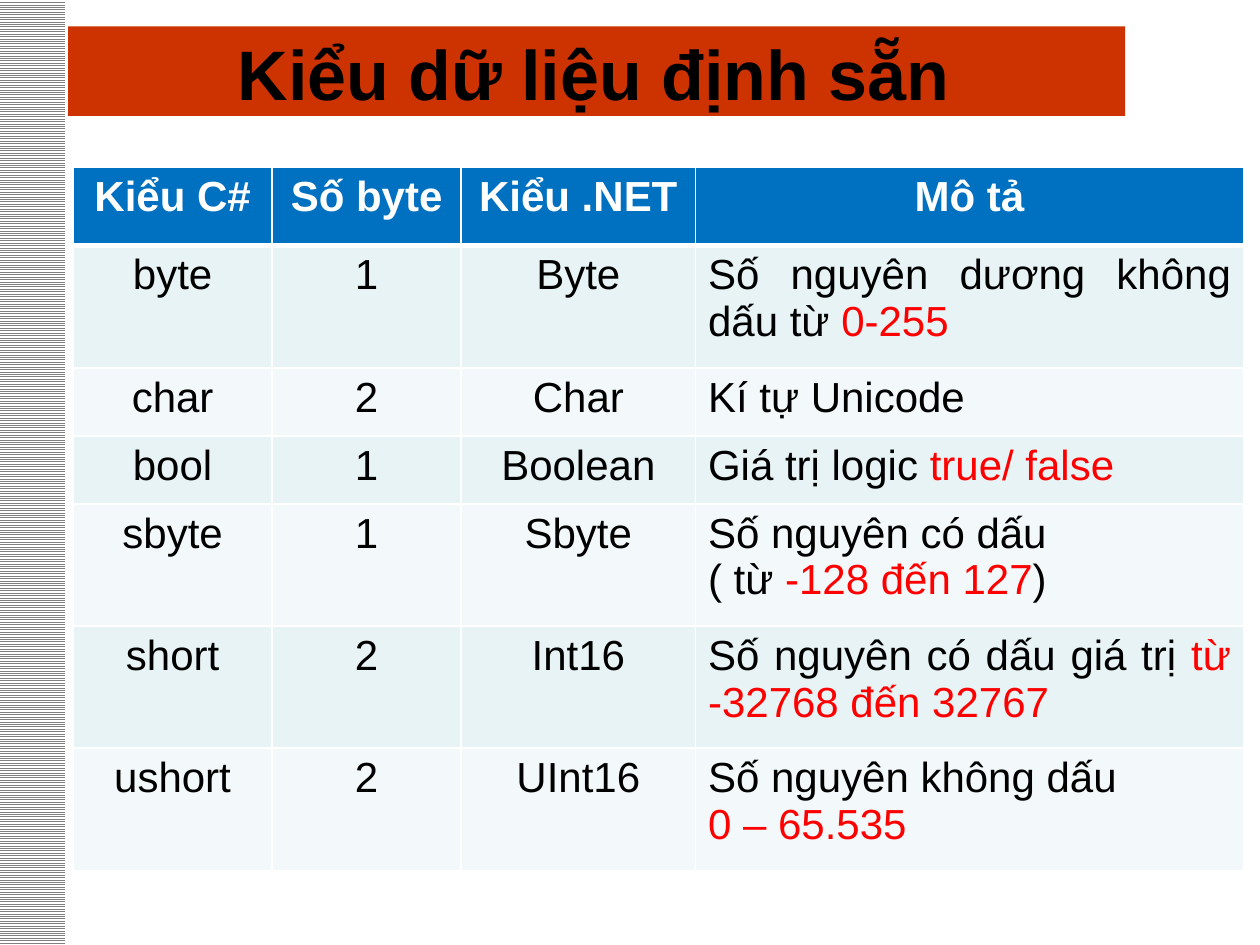
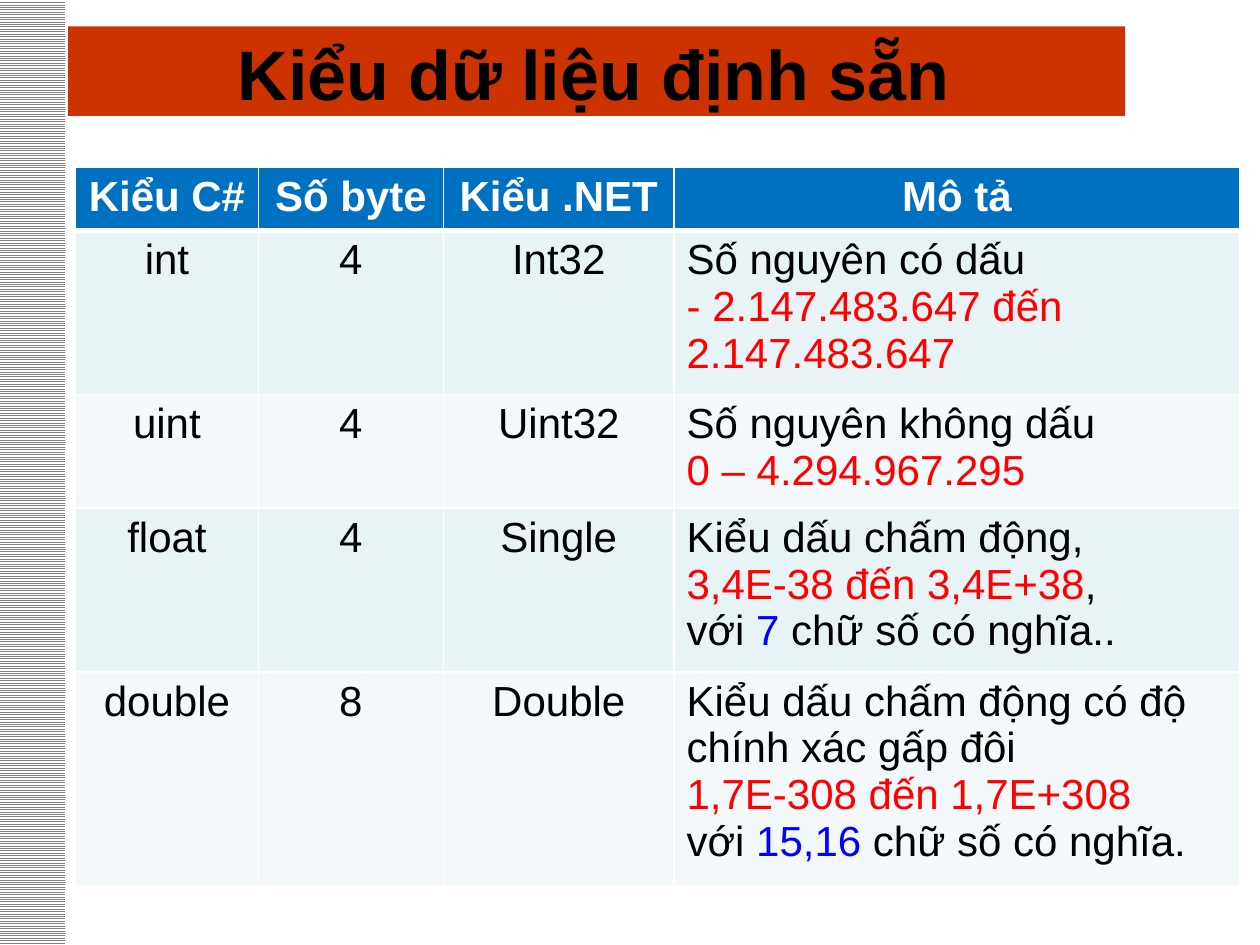
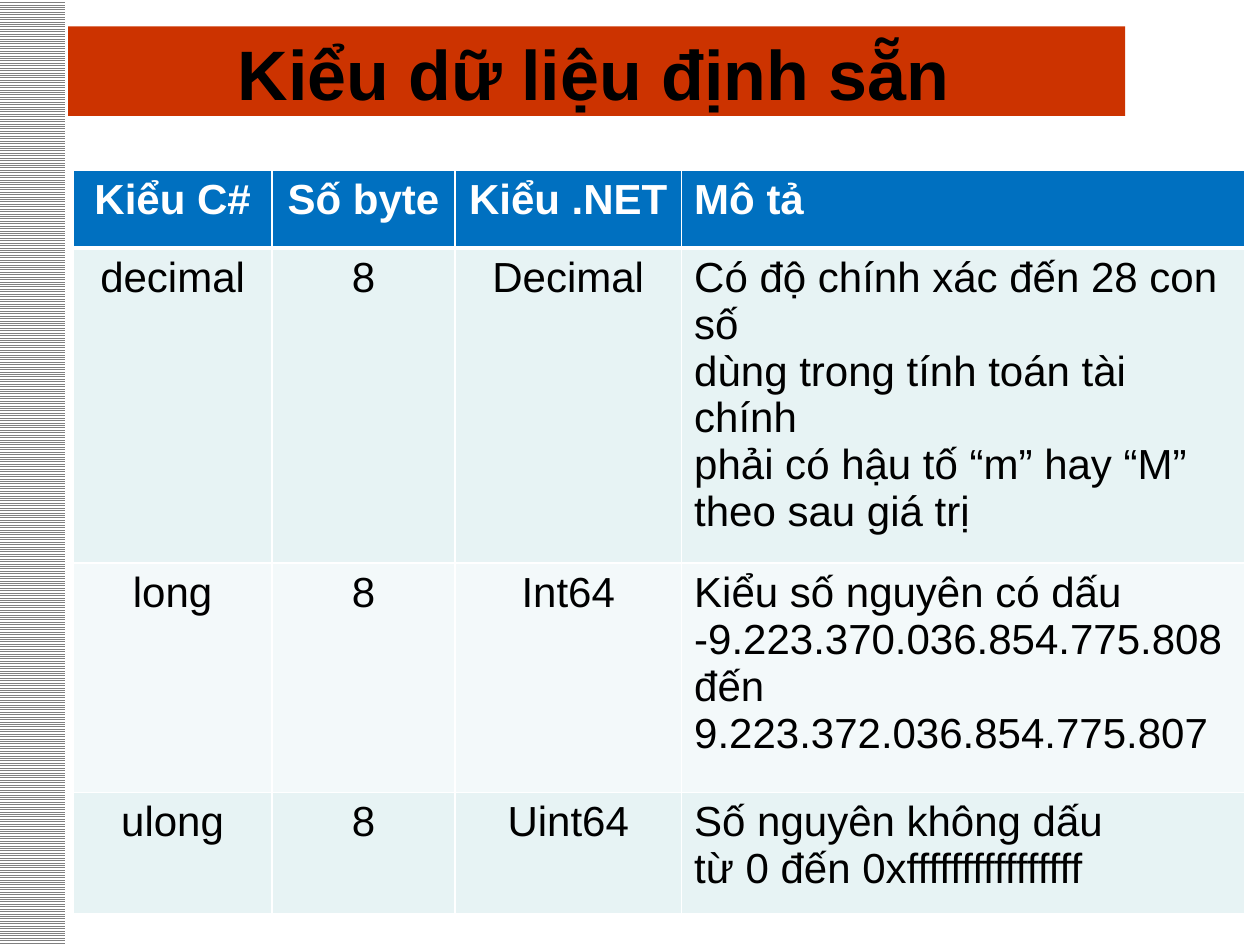
from lxml import etree
from pptx import Presentation
from pptx.dml.color import RGBColor
from pptx.enum.dml import MSO_PATTERN as Pattern
from pptx.enum.shapes import MSO_SHAPE as Shape
from pptx.enum.text import MSO_ANCHOR as Anchor, PP_ALIGN as Align
from pptx.oxml.ns import qn
from pptx.util import Inches, Pt

FONT = "Arial"
WHITE, BLACK, RED, BLUE = "FFFFFF", "000000", "FF0000", "0000FF"
BAND, STRIPE = "CC3300", "808080"
HEADER_FILL, ROW_FILLS = "0070C0", ("E7F3F4", "F3F9FA")
TITLE = "Kiểu dữ liệu định sẵn"
HEADINGS = ("Kiểu C#", "Số byte", "Kiểu .NET", ["Mô tả"])

SLIDES = [
    dict(
        corner=(0.58, 1.33),
        widths=(1.58, 1.5, 1.86, 4.35),
        heights=(0.62, 0.97, 0.54, 0.54, 0.97, 0.97, 0.97),
        body_align=Align.JUSTIFY,
        types=[
            ("byte", "1", "Byte", [["Số nguyên dương không dấu từ ", ("0-255", RED)]]),
            ("char", "2", "Char", ["Kí tự Unicode"]),
            ("bool", "1", "Boolean", [["Giá trị logic ", ("true/ false", RED)]]),
            ("sbyte", "1", "Sbyte",
             ["Số nguyên có dấu", ["( từ ", ("-128 đến 127", RED), ")"]]),
            ("short", "2", "Int16",
             [["Số nguyên có dấu giá trị ", ("từ -32768 đến 32767", RED)]]),
            ("ushort", "2", "UInt16", ["Số nguyên không dấu", [("0 – 65.535", RED)]]),
        ],
    ),
    dict(
        corner=(0.6, 1.33),
        widths=(1.45, 1.47, 1.83, 4.49),
        heights=(0.48, 1.24, 0.86, 1.24, 1.62),
        types=[
            ("int", "4", "Int32",
             ["Số nguyên có dấu", [("- 2.147.483.647 đến 2.147.483.647", RED)]]),
            ("uint", "4", "Uint32",
             ["Số nguyên không dấu", [("0 – 4.294.967.295", RED)]]),
            ("float", "4", "Single",
             ["Kiểu dấu chấm động,", [("3,4E-38 đến 3,4E+38", RED), ","],
              ["với ", ("7", BLUE), " chữ số có nghĩa.."]]),
            ("double", "8", "Double",
             ["Kiểu dấu chấm động có độ chính xác gấp đôi",
              [("1,7E-308 đến 1,7E+308", RED)],
              ["với ", ("15,16", BLUE), " chữ số có nghĩa."]]),
        ],
    ),
    dict(
        corner=(0.58, 1.35),
        widths=(1.58, 1.45, 1.8, 4.47),
        heights=(0.62, 2.25, 1.82, 0.96),
        heading_align=Align.LEFT,
        types=[
            ("decimal", "8", "Decimal",
             ["Có độ chính xác đến 28 con số", "dùng trong tính toán tài chính",
              "phải có hậu tố “m” hay “M”", "theo sau giá trị"]),
            ("long", "8", "Int64",
             ["Kiểu số nguyên có dấu", "-9.223.370.036.854.775.808 đến",
              "9.223.372.036.854.775.807"]),
            ("ulong", "8", "Uint64",
             ["Số nguyên không dấu", "từ 0 đến 0xffffffffffffffff"]),
        ],
    ),
]


def rgb(value):
    return RGBColor.from_string(value)


def write(frame, text, size=24, color=BLACK, bold=False, align=Align.CENTER, spacing=None):
    frame.word_wrap = True
    lines = [text] if isinstance(text, str) else text
    for index, line in enumerate(lines):
        paragraph = frame.paragraphs[0] if index == 0 else frame.add_paragraph()
        paragraph.alignment = align
        if spacing:
            paragraph.line_spacing = spacing
        for part in [line] if isinstance(line, str) else line:
            words, part_color = (part, color) if isinstance(part, str) else part
            run = paragraph.add_run()
            run.text = words
            run.font.name = FONT
            run.font.size = Pt(size)
            run.font.bold = bold
            run.font.color.rgb = rgb(part_color)


def add_block(slide, left, top, width, height):
    block = slide.shapes.add_shape(
        Shape.RECTANGLE, Inches(left), Inches(top), Inches(width), Inches(height))
    block.shadow.inherit = False
    block.line.fill.background()
    return block


def add_side_stripe(slide, left, top, width, height):
    fill = add_block(slide, left, top, width, height).fill
    fill.patterned()
    fill.pattern = Pattern.LIGHT_HORIZONTAL
    fill.fore_color.rgb = rgb(STRIPE)
    fill.back_color.rgb = rgb(WHITE)


def add_title(slide, left, top, width, height):
    band = add_block(slide, left + 0.04, top + 0.05, width - 0.03, height - 0.21)
    band.fill.solid()
    band.fill.fore_color.rgb = rgb(BAND)
    heading = slide.shapes.add_textbox(
        Inches(left), Inches(top), Inches(width), Inches(height))
    heading.text_frame.vertical_anchor = Anchor.MIDDLE
    write(heading.text_frame, TITLE, size=40, bold=True, spacing=0.9)


def set_borders(cell, top, bottom):
    properties = cell._tc.get_or_add_tcPr()
    sides = (("lnL", 1), ("lnR", 1), ("lnT", top), ("lnB", bottom))
    for position, (side, points) in enumerate(sides):
        edge = etree.Element(qn(f"a:{side}"), w=str(Pt(points)))
        paint = etree.SubElement(edge, qn("a:solidFill"))
        etree.SubElement(paint, qn("a:srgbClr"), val=WHITE)
        properties.insert(position, edge)


def add_type_table(slide, corner, widths, heights, types,
                   heading_align=Align.CENTER, body_align=Align.LEFT):
    left, top = corner
    rows = [HEADINGS] + types
    table = slide.shapes.add_table(
        len(rows), len(widths), Inches(left), Inches(top),
        Inches(sum(widths)), Inches(sum(heights))).table
    for column, width in zip(table.columns, widths):
        column.width = Inches(width)
    for index, (row, height, texts) in enumerate(zip(table.rows, heights, rows)):
        row.height = Inches(height)
        is_header = index == 0
        description_align = heading_align if is_header else body_align
        for cell, text in zip(row.cells, texts):
            cell.fill.solid()
            cell.fill.fore_color.rgb = rgb(
                HEADER_FILL if is_header else ROW_FILLS[(index - 1) % 2])
            set_borders(cell, top=3 if index == 1 else 1, bottom=3 if is_header else 1)
            write(cell.text_frame, text, bold=is_header,
                  color=WHITE if is_header else BLACK,
                  align=Align.CENTER if isinstance(text, str) else description_align)


def main():
    deck = Presentation()
    deck.slide_width, deck.slide_height = Inches(10), Inches(7.5)
    for content in SLIDES:
        slide = deck.slides.add_slide(deck.slide_layouts[6])
        add_side_stripe(slide, -0.01, 0, 0.53, 7.5)
        add_title(slide, 0.5, 0.16, 8.42, 0.92)
        add_type_table(slide, **content)
    deck.save("out.pptx")


if __name__ == "__main__":
    main()
